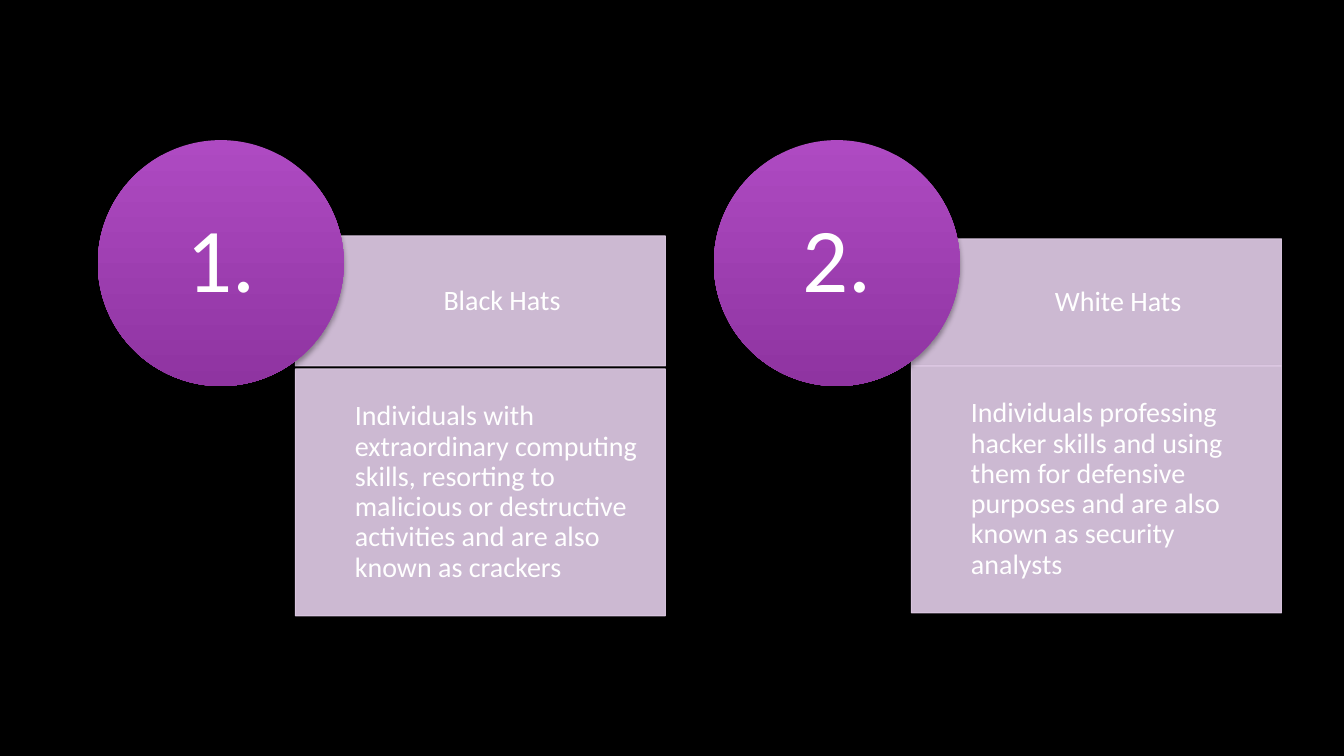
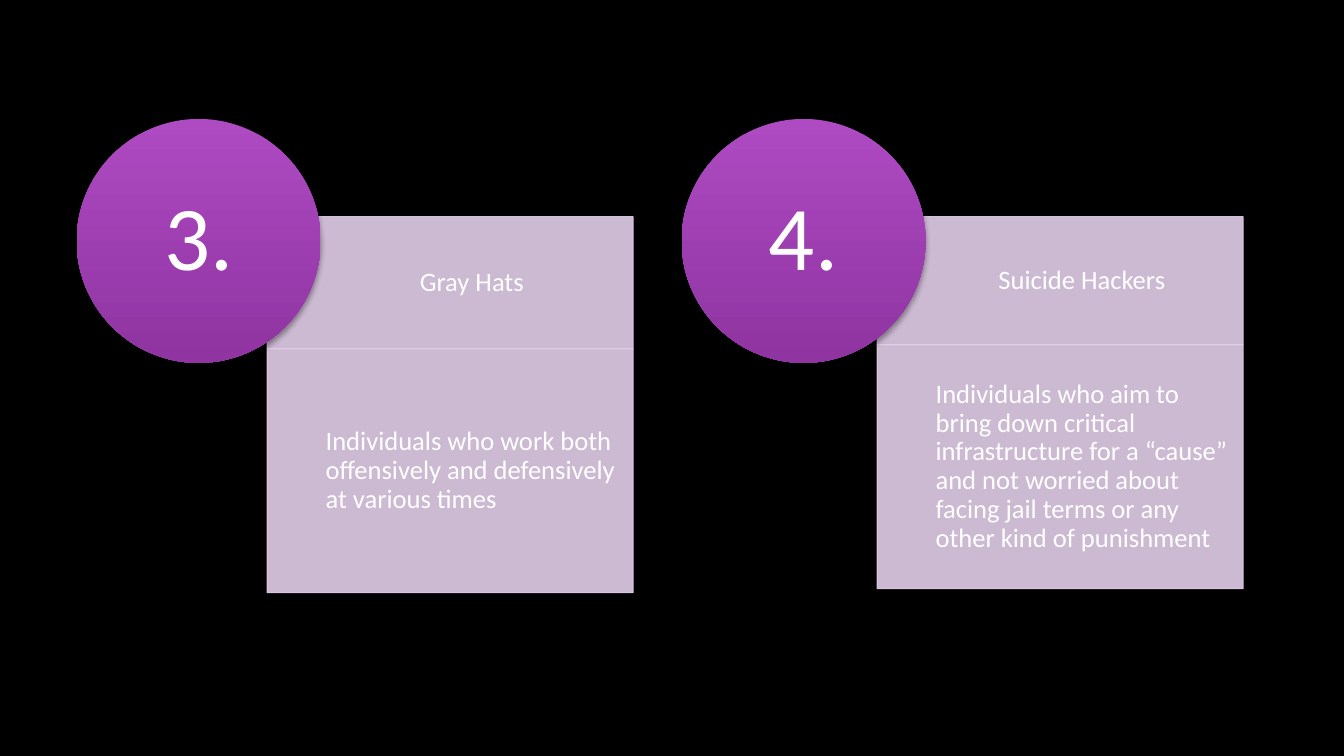
from dataclasses import dataclass

from lxml import etree
from pptx import Presentation, util as u
from pptx.dml.color import RGBColor
from pptx.enum import shapes, text
from pptx.oxml.ns import qn

FONT = "Calibri"
BLACK, WHITE, LILAC = "000000", "FFFFFF", "E3CEE9"
PURPLES = ("AE4AC2", "8F34A1")
NUMBER_SIZE = 65


@dataclass
class Card:
    """Texts of one card and the places of its circle and panel."""
    number: str
    title: str
    body: str
    circle_left: float
    panel_left: float
    panel_top: float
    body_top: float


@dataclass
class Deck:
    """Cards of one slide with their shared measures."""
    circle_top: float
    diameter: float
    panel_width: float
    body_height: float
    text_indent: float
    inset: float
    size: int
    gap: float
    cards: list


SLIDES = [
    Deck(1.39, 2.44, 3.67, 2.45, 0.59, 0.16, 20, 0.03, [
        Card("1.", "Black Hats",
             "Individuals with extraordinary computing skills, resorting to "
             "malicious or destructive activities and are also known as crackers",
             0.97, 2.93, 2.34, 3.66),
        Card("2.", "White Hats",
             "Individuals professing hacker skills and using them for defensive "
             "purposes and are also known as security analysts",
             7.08, 9.04, 2.37, 3.63)]),
    Deck(1.18, 2.42, 3.63, 2.42, 0.58, 0.15, 19, 0, [
        Card("3.", "Gray Hats",
             "Individuals who work both offensively and defensively at various times",
             0.76, 2.65, 2.15, 3.46),
        Card("4.", "Suicide Hackers",
             "Individuals who aim to bring down critical infrastructure for a “cause” "
             "and not worried about facing jail terms or any other kind of punishment",
             6.76, 8.7, 2.15, 3.42)]),
]


def rgb(value):
    """Turn a hex string into a colour."""
    return RGBColor.from_string(value)


def set_alpha(color, percent):
    """Set the opacity of a colour element."""
    etree.SubElement(color, qn("a:alpha")).set("val", str(percent * 1000))


def add_shadow(sp):
    """Give a shape a soft shadow below it."""
    sp.shadow.inherit = False
    effects = sp._element.spPr.find(qn("a:effectLst"))
    shadow = etree.SubElement(effects, qn("a:outerShdw"), blurRad=str(u.Pt(4)),
                              dist=str(u.Pt(3)), dir="5400000", rotWithShape="0")
    color = etree.SubElement(shadow, qn("a:srgbClr"), val=BLACK)
    set_alpha(color, 35)


def write(sp, content, size, align, insets):
    """Write one white paragraph, centred vertically, into a shape."""
    tf = sp.text_frame
    tf.word_wrap = True
    tf.vertical_anchor = text.MSO_ANCHOR.MIDDLE
    tf.margin_left, tf.margin_top, tf.margin_right, tf.margin_bottom = map(u.Inches, insets)
    p = tf.paragraphs[0]
    p.text = content
    p.alignment = align
    p.line_spacing = 0.9
    p.font.name, p.font.size = FONT, u.Pt(size)
    p.font.color.rgb = rgb(WHITE)


def add_panel(parent, box, content, align, deck):
    """Add a translucent panel with its text clear of the circle."""
    sp = parent.shapes.add_shape(shapes.MSO_SHAPE.RECTANGLE, *map(u.Inches, box))
    sp.fill.solid()
    sp.fill.fore_color.rgb = rgb(LILAC)
    sp.line.color.rgb = rgb(LILAC)
    sp.line.width = u.Pt(0.75)
    for color in sp._element.spPr.iter(qn("a:srgbClr")):
        set_alpha(color, 90)
    add_shadow(sp)
    write(sp, content, deck.size, align, (deck.text_indent,) + (deck.inset,) * 3)


def add_circle(parent, box, number):
    """Add a shaded circle with its number."""
    sp = parent.shapes.add_shape(shapes.MSO_SHAPE.OVAL, *map(u.Inches, box))
    sp.fill.gradient()
    sp.fill.gradient_angle = 270
    for stop, position, color in zip(sp.fill.gradient_stops, (0, 1), PURPLES):
        stop.position = position
        stop.color.rgb = rgb(color)
    sp.line.fill.background()
    add_shadow(sp)
    write(sp, number, NUMBER_SIZE, text.PP_ALIGN.CENTER, (0,) * 4)


def add_card(s, deck, card):
    """Group a title panel, a body panel and a numbered circle."""
    group = s.shapes.add_group_shape()
    left, width = card.panel_left, deck.panel_width
    gap = deck.gap if card is deck.cards[0] else 0
    title_height = card.body_top - card.panel_top - gap
    add_panel(group, (left, card.panel_top, width, title_height),
              card.title, text.PP_ALIGN.CENTER, deck)
    add_panel(group, (left, card.body_top, width, deck.body_height),
              card.body, text.PP_ALIGN.LEFT, deck)
    add_circle(group, (card.circle_left, deck.circle_top, deck.diameter, deck.diameter),
               card.number)


def add_slide(prs, deck):
    """Add a black slide with its cards."""
    s = prs.slides.add_slide(prs.slide_layouts[6])
    s.background.fill.solid()
    s.background.fill.fore_color.rgb = rgb(BLACK)
    for card in deck.cards:
        add_card(s, deck, card)


def main():
    """Build and save the presentation."""
    prs = Presentation()
    prs.slide_width, prs.slide_height = u.Inches(13.33), u.Inches(7.5)
    for deck in SLIDES:
        add_slide(prs, deck)
    prs.save("out.pptx")


if __name__ == "__main__":
    main()
